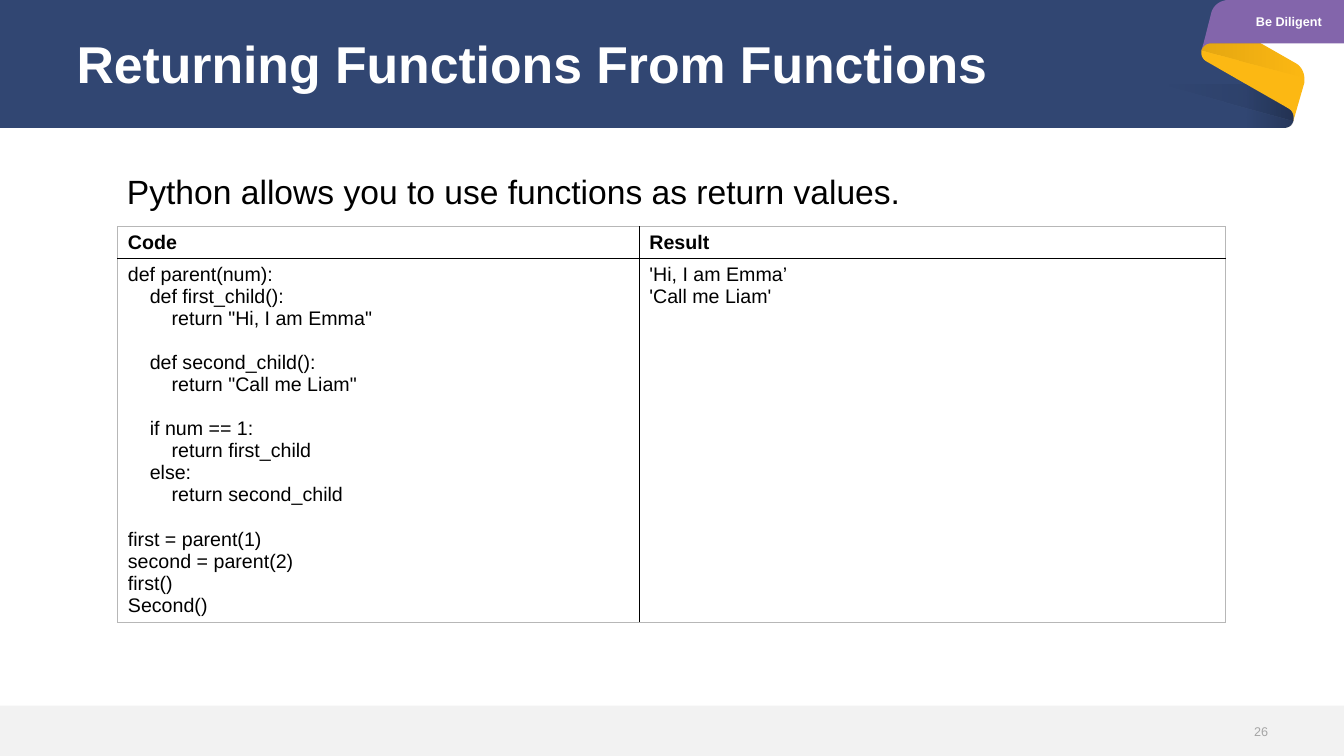
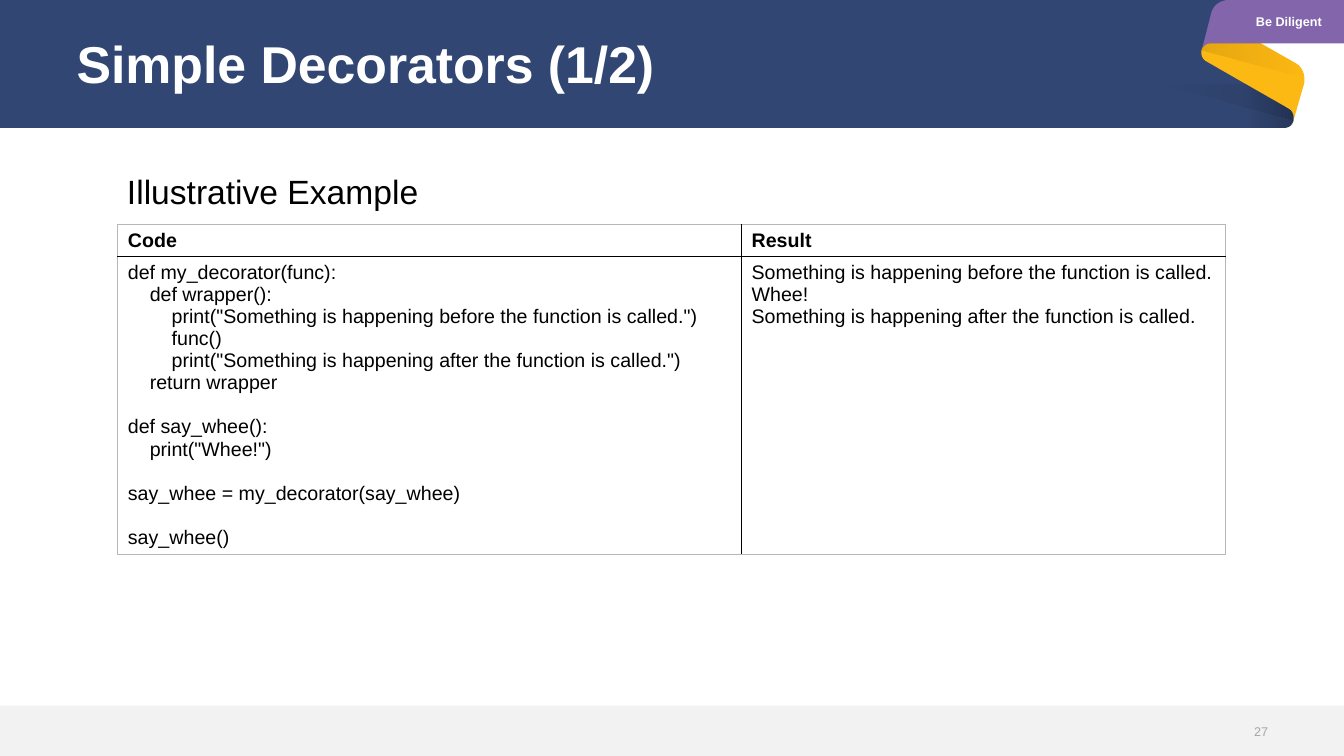
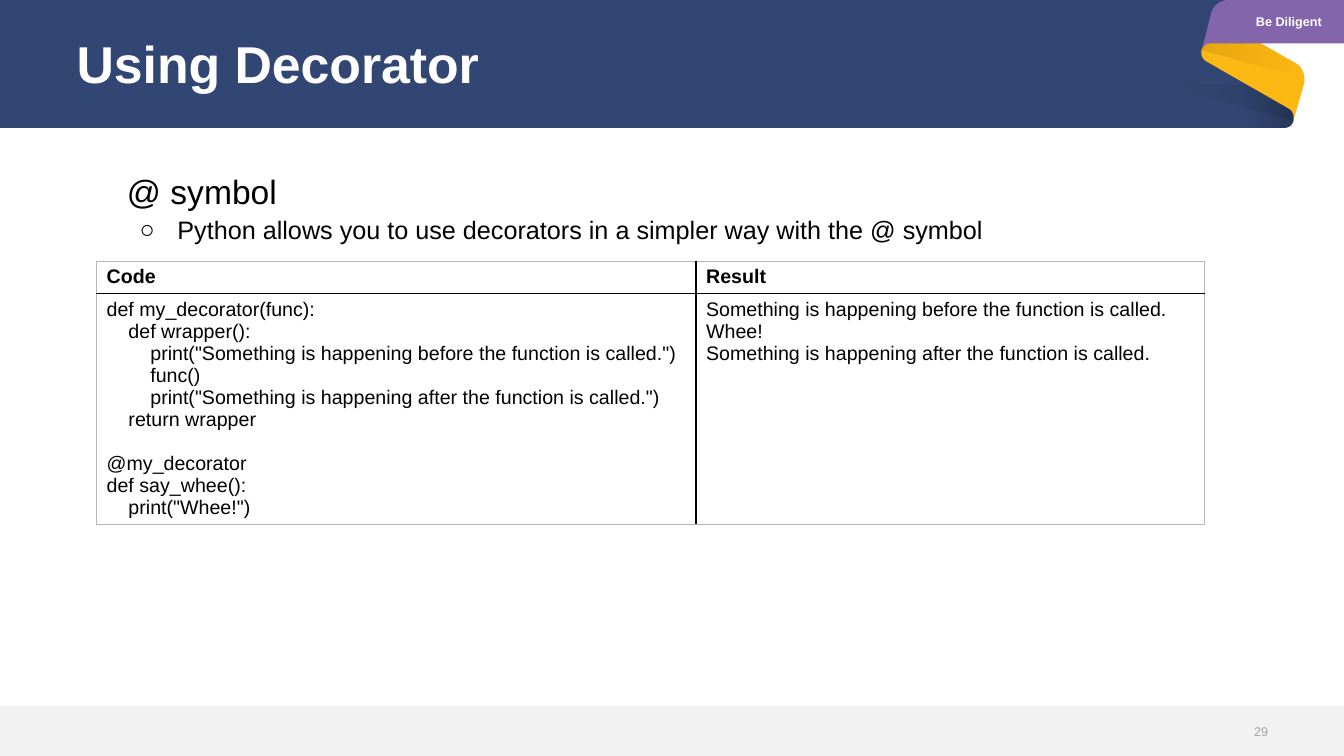
from dataclasses import dataclass

from lxml import etree
from pptx import Presentation
from pptx.dml.color import RGBColor
from pptx.enum.shapes import MSO_SHAPE, PP_PLACEHOLDER
from pptx.enum.text import MSO_ANCHOR, MSO_AUTO_SIZE, PP_ALIGN
from pptx.oxml.ns import qn
from pptx.util import Pt

RECTANGLE = MSO_SHAPE.RECTANGLE
TITLE = PP_PLACEHOLDER.TITLE
TOP, MIDDLE = MSO_ANCHOR.TOP, MSO_ANCHOR.MIDDLE
NO_AUTOFIT = MSO_AUTO_SIZE.NONE
LEFT, CENTER, RIGHT = PP_ALIGN.LEFT, PP_ALIGN.CENTER, PP_ALIGN.RIGHT


@dataclass(frozen=True)
class Theme:
    font: str = "Arial"
    navy: str = "314672"
    yellow: str = "FCB813"
    purple: str = "8365AB"
    footer: str = "F2F2F2"
    white: str = "FFFFFF"
    ink: str = "000000"
    number: str = "A5A5A5"
    frame: str = "B7B7B7"
    title_size: float = 37
    lead_size: float = 24
    point_size: float = 18
    code_size: float = 14
    small_size: float = 9


THEME = Theme()
WIDTH, HEIGHT = 960, 540
TITLE_BOX = (54.7, 4.3, 850.3, 86.4)
LEAD_BOX = (54.7, 112.3, 850.3, 373.7)
MOTTO_BOX = (863.3, 0, 96.7, 31)
NUMBER_BOX = (860.4, 513.4, 45.4, 18.7)
FOOTER_BOX = (0, 504, WIDTH, 36)
MOTTO = "Be Diligent"
HEADINGS = ("Code", "Result")
TABLE_WIDTH = 791.3
HEADER_HEIGHT = 23
LINE_HEIGHT = 15.8
CELL_PADDING = 7.2
SPACES_PER_LEVEL = 4
LEVEL_INDENT = 15.6

PARENT_CODE = """def parent(num):
    def first_child():
        return "Hi, I am Emma"

    def second_child():
        return "Call me Liam"

    if num == 1:
        return first_child
    else:
        return second_child

first = parent(1)
second = parent(2)
first()
Second()"""

WRAPPER_CODE = """def my_decorator(func):
    def wrapper():
        print("Something is happening before the function is called.")
        func()
        print("Something is happening after the function is called.")
    return wrapper
"""

SAY_WHEE_CODE = """def say_whee():
    print("Whee!")"""

REASSIGN_CODE = """
say_whee = my_decorator(say_whee)

say_whee()"""

WHEE_RESULT = """Something is happening before the function is called.
Whee!
Something is happening after the function is called."""

LESSONS = [
    {
        "title": "Returning Functions From Functions",
        "number": "26",
        "lead": "Python allows you to use functions as return values.",
        "points": [],
        "code": PARENT_CODE,
        "result": "'Hi, I am Emma’\n'Call me Liam'",
        "corner": (84.2, 161.8),
        "code_width": 372.5,
    },
    {
        "title": "Simple Decorators (1/2)",
        "number": "27",
        "lead": "Illustrative Example",
        "points": [],
        "code": "\n".join((WRAPPER_CODE, SAY_WHEE_CODE, REASSIGN_CODE)),
        "result": WHEE_RESULT,
        "corner": (84.2, 160.5),
        "code_width": 445.5,
    },
    {
        "title": "Using Decorator",
        "number": "29",
        "lead": "@ symbol",
        "points": ["Python allows you to use decorators in a simpler way with the @ symbol"],
        "code": "\n".join((WRAPPER_CODE, "@my_decorator", SAY_WHEE_CODE)),
        "result": WHEE_RESULT,
        "corner": (69, 186.5),
        "code_width": 428.2,
    },
]

FOLD = (923.8, 79.9, 924.5, 82.8, 923.8, 86.4)
TIP = (923, 89.3, 920.9, 91.4, 917.3, 91.4)
TIP_BACK = (920.9, 91.4, 923, 89.3, 923.8, 86.4)
FOLD_BACK = (924.5, 82.8, 923.8, 79.9, 920.9, 77.8)
SHOULDER = (931.7, 51.8, 929.5, 47.5, 925.9, 45.4)

BAND = [(0, 0), (895, 0), (895, 51.8), (920.9, 77.8), FOLD, TIP, (0, 91.4)]
RIBBON = [(861.8, 43.9), (920.9, 77.8), FOLD, (931.7, 59), (931.7, 56.2), SHOULDER,
          (895.7, 28.1), (865.4, 29.5), (861.8, 29.5, 859, 33.1, 858.2, 36),
          (857.5, 38.9, 859, 42.5, 861.8, 43.9)]
FLAG = [(858.2, 36), (859, 33.1, 861.8, 31, 865.4, 31), (960, 31), (960, 0),
        (877.7, 0), (871.9, 0, 866.9, 3.6, 865.4, 8.6), (859.7, 31)]
TIP_SHADE = [(890.6, 60.5), (890.6, 91.4), (917.3, 91.4), TIP_BACK, FOLD_BACK]
BAND_SHADE = [(829.4, 60.5), (923.8, 86.4), FOLD_BACK, (890.6, 60.5)]
RIBBON_SHADE = [(858.2, 36), (931.7, 55.4), SHOULDER, (900, 31), (865.4, 31),
                (861.8, 31, 859, 33.1, 858.2, 36)]

SOLIDS = [(BAND, THEME.navy), (RIBBON, THEME.yellow), (FLAG, THEME.purple)]
SHADES = [(TIP_SHADE, 20, 180), (BAND_SHADE, 10, 180), (RIBBON_SHADE, 10, 0)]


def in_points(values):
    return [Pt(value) for value in values]


def flatten(outline, steps=8):
    points = [outline[0]]
    for part in outline[1:]:
        if len(part) == 2:
            points.append(part)
            continue
        knots = [points[-1], part[:2], part[2:4], part[4:]]
        for step in range(1, steps + 1):
            t = step / steps
            weights = ((1 - t) ** 3, 3 * t * (1 - t) ** 2, 3 * t * t * (1 - t), t ** 3)
            points.append(tuple(sum(w * knot[axis] for w, knot in zip(weights, knots))
                                for axis in (0, 1)))
    return points


def draw_outline(slide, outline):
    start, *rest = [in_points(point) for point in flatten(outline)]
    builder = slide.shapes.build_freeform(*start, scale=1.0)
    builder.add_line_segments(rest, close=True)
    return builder.convert_to_shape()


def paint(shape, color):
    shape.shadow.inherit = False
    shape.line.fill.background()
    shape.fill.solid()
    shape.fill.fore_color.rgb = RGBColor.from_string(color)


def shade(shape, opacity, angle):
    shape.shadow.inherit = False
    shape.line.fill.background()
    shape.fill.gradient()
    shape.fill.gradient_angle = angle
    for stop in shape.fill.gradient_stops:
        stop.color.rgb = RGBColor.from_string(THEME.ink)
    for color, percent in zip(shape.element.iter(qn("a:srgbClr")), (opacity, 0)):
        etree.SubElement(color, qn("a:alpha"), val=str(percent * 1000))


def write(paragraph, text, size, color=THEME.ink, bold=False, align=LEFT):
    paragraph.alignment = align
    run = paragraph.add_run()
    run.text = text
    run.font.name = THEME.font
    run.font.size = Pt(size)
    run.font.bold = bold
    run.font.color.rgb = RGBColor.from_string(color)


def indent(paragraph, left, first=0, bullet=None):
    properties = paragraph._p.get_or_add_pPr()
    properties.set("marL", str(Pt(left)))
    properties.set("indent", str(Pt(first)))
    if bullet:
        etree.SubElement(properties, qn("a:buFont"), typeface=THEME.font)
        etree.SubElement(properties, qn("a:buChar"), char=bullet)


def clear_frame(frame, anchor):
    frame.word_wrap = True
    frame.auto_size = NO_AUTOFIT
    frame.vertical_anchor = anchor
    frame.margin_left = frame.margin_right = frame.margin_top = frame.margin_bottom = 0
    return frame


def add_frame(slide, box, anchor):
    return clear_frame(slide.shapes.add_textbox(*in_points(box)).text_frame, anchor)


def furnish_layout(layout, slide):
    for placeholder in list(layout.placeholders):
        if placeholder.placeholder_format.type != TITLE:
            layout.shapes.element.remove(placeholder.element)
    for outline, color in SOLIDS:
        paint(draw_outline(slide, outline), color)
    for outline, opacity, angle in SHADES:
        shade(draw_outline(slide, outline), opacity, angle)
    paint(slide.shapes.add_shape(RECTANGLE, *in_points(FOOTER_BOX)), THEME.footer)
    motto = add_frame(slide, MOTTO_BOX, MIDDLE)
    motto.margin_left = Pt(18)
    write(motto.paragraphs[0], MOTTO, THEME.small_size, THEME.white, True, CENTER)
    for shape in list(slide.shapes):
        if not shape.is_placeholder:
            layout.shapes.element.append(shape.element)


def add_title(slide, text):
    title = slide.shapes.title
    title.left, title.top, title.width, title.height = in_points(TITLE_BOX)
    paragraph = clear_frame(title.text_frame, MIDDLE).paragraphs[0]
    paragraph.line_spacing = 0.9
    write(paragraph, text, THEME.title_size, THEME.white, True)


def add_lead(slide, lead, points):
    frame = add_frame(slide, LEAD_BOX, TOP)
    paragraph = frame.paragraphs[0]
    paragraph.line_spacing = 1.33
    write(paragraph, lead, THEME.lead_size)
    indent(paragraph, 36)
    for point in points:
        paragraph = frame.add_paragraph()
        paragraph.line_spacing = 0.9
        paragraph.space_before = Pt(5)
        write(paragraph, point, THEME.point_size)
        indent(paragraph, 72, -27, "○")


def write_lines(frame, text, bold):
    paragraph, gap = frame.paragraphs[0], 0
    for line in text.split("\n"):
        code = line.lstrip()
        if not code:
            gap += LINE_HEIGHT
            continue
        if paragraph.runs:
            paragraph = frame.add_paragraph()
        paragraph.space_before = Pt(gap)
        write(paragraph, code, THEME.code_size, bold=bold)
        level = (len(line) - len(code)) // SPACES_PER_LEVEL
        indent(paragraph, level * LEVEL_INDENT)
        gap = 0


def draw_borders(cell, row, column):
    properties = cell._tc.get_or_add_tcPr()
    outer = {"lnL": column == 0, "lnR": column == 1, "lnT": row == 0, "lnB": row == 1}
    for side, is_outer in outer.items():
        width, color = (0.75, THEME.frame) if is_outer else (1, THEME.ink)
        line = etree.SubElement(properties, qn(f"a:{side}"), w=str(Pt(width)))
        fill = etree.SubElement(line, qn("a:solidFill"))
        etree.SubElement(fill, qn("a:srgbClr"), val=color)


def add_example(slide, lesson):
    rows = (HEADINGS, (lesson["code"], lesson["result"]))
    heights = (HEADER_HEIGHT, len(lesson["code"].split("\n")) * LINE_HEIGHT + CELL_PADDING)
    widths = (lesson["code_width"], TABLE_WIDTH - lesson["code_width"])
    box = (*lesson["corner"], TABLE_WIDTH, sum(heights))
    table = slide.shapes.add_table(2, 2, *in_points(box)).table
    table.first_row = table.horz_banding = False
    for column, width in enumerate(widths):
        table.columns[column].width = Pt(width)
    for row, texts in enumerate(rows):
        table.rows[row].height = Pt(heights[row])
        for column, text in enumerate(texts):
            cell = table.cell(row, column)
            draw_borders(cell, row, column)
            cell.fill.background()
            write_lines(cell.text_frame, text, bold=row == 0)


def main():
    deck = Presentation()
    deck.slide_width, deck.slide_height = Pt(WIDTH), Pt(HEIGHT)
    layout = deck.slide_layouts[5]
    for index, lesson in enumerate(LESSONS):
        slide = deck.slides.add_slide(layout)
        if index == 0:
            furnish_layout(layout, slide)
        add_title(slide, lesson["title"])
        add_lead(slide, lesson["lead"], lesson["points"])
        number = add_frame(slide, NUMBER_BOX, MIDDLE)
        write(number.paragraphs[0], lesson["number"], THEME.small_size, THEME.number, align=RIGHT)
        add_example(slide, lesson)
    deck.save("out.pptx")


if __name__ == "__main__":
    main()
